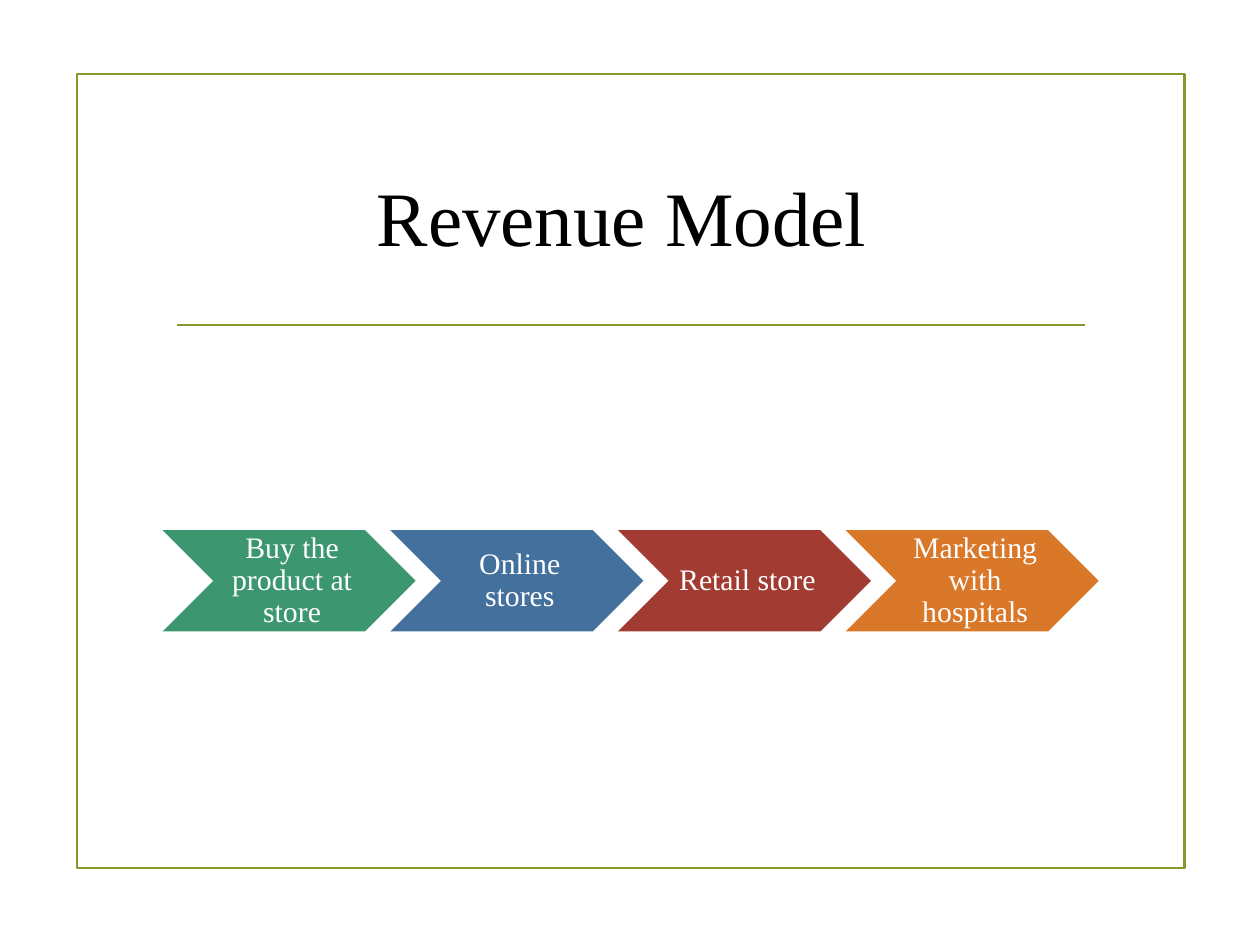
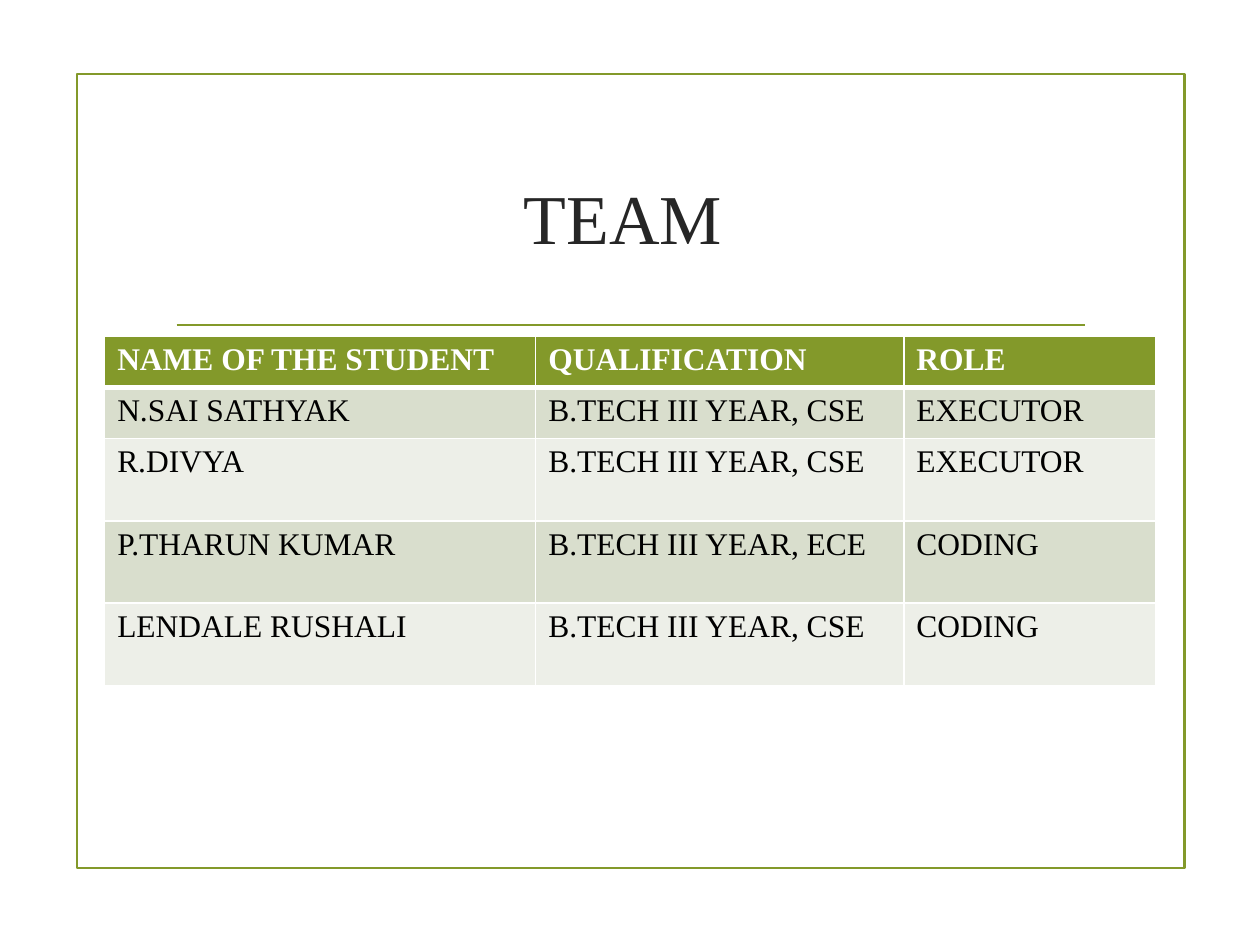
from dataclasses import dataclass

from lxml.etree import SubElement
from pptx import Presentation
from pptx.dml.color import RGBColor
from pptx.enum.shapes import MSO_CONNECTOR, MSO_SHAPE
from pptx.enum.text import MSO_ANCHOR, MSO_AUTO_SIZE, PP_ALIGN
from pptx.oxml import parse_xml
from pptx.oxml.ns import nsdecls, qn
from pptx.util import Cm, Pt


@dataclass(frozen=True)
class Theme:
    font: str = "Times New Roman"
    green: str = "83992A"
    white: str = "FFFFFF"
    black: str = "000000"
    gray: str = "262626"
    bands: tuple = ("D9DECD", "EDEFE8")
    steps: tuple = ("3C9770", "44709D", "A23C33", "D97828")
    big: float = 44
    head: float = 40
    cell: float = 18
    step: float = 17
    rule: float = 1.25


THEME = Theme()

# Boxes in cm: left, top, width, height
FRAME = (1.55, 1.5, 22.33, 16)
RULE = (3.56, 6.55, 18.31, 0)
TITLE = (3.28, 2.54, 18.9, 3.63)
FLOW = (3.28, 10.69, 18.87, 2.04)
TEAM = (2.11, 6.78, 21.19, 7.04)

STEPS = ("Buy the product at store", "Online stores", "Retail store",
         "Marketing with hospitals")
ROWS = (
    ("NAME OF THE STUDENT", "QUALIFICATION", "ROLE"),
    ("N.SAI SATHYAK", "B.TECH III YEAR, CSE", "EXECUTOR"),
    ("R.DIVYA", "B.TECH III YEAR, CSE", "EXECUTOR"),
    ("P.THARUN KUMAR", "B.TECH III YEAR, ECE", "CODING"),
    ("LENDALE RUSHALI", "B.TECH III YEAR, CSE", "CODING"),
)
WIDTHS = (8.69, 7.42, 5.08)
HEIGHTS = (1.03, 1.03, 1.66, 1.66, 1.66)


def rgb(code):
    return RGBColor.from_string(code)


def write(frame, text, size, color, align=PP_ALIGN.LEFT, bold=False):
    """Add one formatted run to the first paragraph."""
    para = frame.paragraphs[0]
    para.alignment = align
    run = para.add_run()
    run.text = text
    font = run.font
    font.name, font.size, font.bold = THEME.font, Pt(size), bold
    font.color.rgb = rgb(color)
    return para


def stroke(line):
    line.color.rgb = rgb(THEME.green)
    line.width = Pt(THEME.rule)


def dress(slide):
    """Put the frame and the rule on the layout that the slides share."""
    shapes = slide.shapes
    frame = shapes.add_shape(MSO_SHAPE.RECTANGLE, *map(Cm, FRAME))
    frame.shadow.inherit = False
    frame.fill.background()
    stroke(frame.line)

    left, top, width, _ = RULE
    rule = shapes.add_connector(MSO_CONNECTOR.STRAIGHT, Cm(left), Cm(top),
                                Cm(left + width), Cm(top))
    stroke(rule.line)
    SubElement(rule.element.spPr, qn("a:effectLst"))

    first = slide.slide_layout.placeholders[0].element
    for part in (frame, rule):
        first.addprevious(part.element)


def title(slide, text, size, color):
    head = slide.shapes.title
    head.left, head.top, head.width, head.height = map(Cm, TITLE)
    frame = head.text_frame
    frame.auto_size = MSO_AUTO_SIZE.NONE
    frame.vertical_anchor = MSO_ANCHOR.MIDDLE
    write(frame, text, size, color, PP_ALIGN.CENTER)


def flow(slide, box, steps):
    """Row of chevrons, each starting at 90% of the one before."""
    left, top, width, height = box
    wide = width / (1 + 0.9 * (len(steps) - 1))
    for i, (text, color) in enumerate(zip(steps, THEME.steps)):
        step = slide.shapes.add_shape(
            MSO_SHAPE.CHEVRON, Cm(left + 0.9 * wide * i), Cm(top),
            Cm(wide), Cm(height))
        step.shadow.inherit = False
        step.fill.solid()
        step.fill.fore_color.rgb = rgb(color)
        step.line.fill.background()
        frame = step.text_frame
        frame.word_wrap = True
        frame.vertical_anchor = MSO_ANCHOR.MIDDLE
        frame.margin_left = Cm(0.18)
        frame.margin_top = frame.margin_right = frame.margin_bottom = Cm(0.06)
        para = write(frame, text, THEME.step, THEME.white, PP_ALIGN.CENTER)
        para.line_spacing = 0.9


def border(cell, top, bottom):
    """White cell borders; widths in points."""
    props = cell._tc.get_or_add_tcPr()
    sides = (("L", 1), ("R", 1), ("T", top), ("B", bottom))
    for i, (side, width) in enumerate(sides):
        props.insert(i, parse_xml(
            f'<a:ln{side} {nsdecls("a")} w="{Pt(width)}"><a:solidFill>'
            f'<a:srgbClr val="{THEME.white}"/></a:solidFill></a:ln{side}>'))


def team(slide, box, rows):
    grid = slide.shapes.add_table(len(rows), len(rows[0]),
                                  *map(Cm, box)).table
    for col, width in zip(grid.columns, WIDTHS):
        col.width = Cm(width)
    for r, (row, height) in enumerate(zip(rows, HEIGHTS)):
        grid.rows[r].height = Cm(height)
        head = r == 0
        fill = THEME.green if head else THEME.bands[(r - 1) % 2]
        color = THEME.white if head else THEME.black
        for c, text in enumerate(row):
            cell = grid.cell(r, c)
            cell.fill.solid()
            cell.fill.fore_color.rgb = rgb(fill)
            border(cell, 3 if r == 1 else 1, 3 if head else 1)
            write(cell.text_frame, text, THEME.cell, color, bold=head)


def main():
    deck = Presentation()
    deck.slide_width, deck.slide_height = Cm(25.4), Cm(19.05)
    plain = deck.slide_layouts[5]

    # Revenue steps
    slide = deck.slides.add_slide(plain)
    dress(slide)
    title(slide, "Revenue Model ", THEME.big, THEME.black)
    flow(slide, FLOW, STEPS)

    # Team table
    slide = deck.slides.add_slide(plain)
    title(slide, "TEAM ", THEME.head, THEME.gray)
    team(slide, TEAM, ROWS)

    deck.save("out.pptx")


if __name__ == "__main__":
    main()
